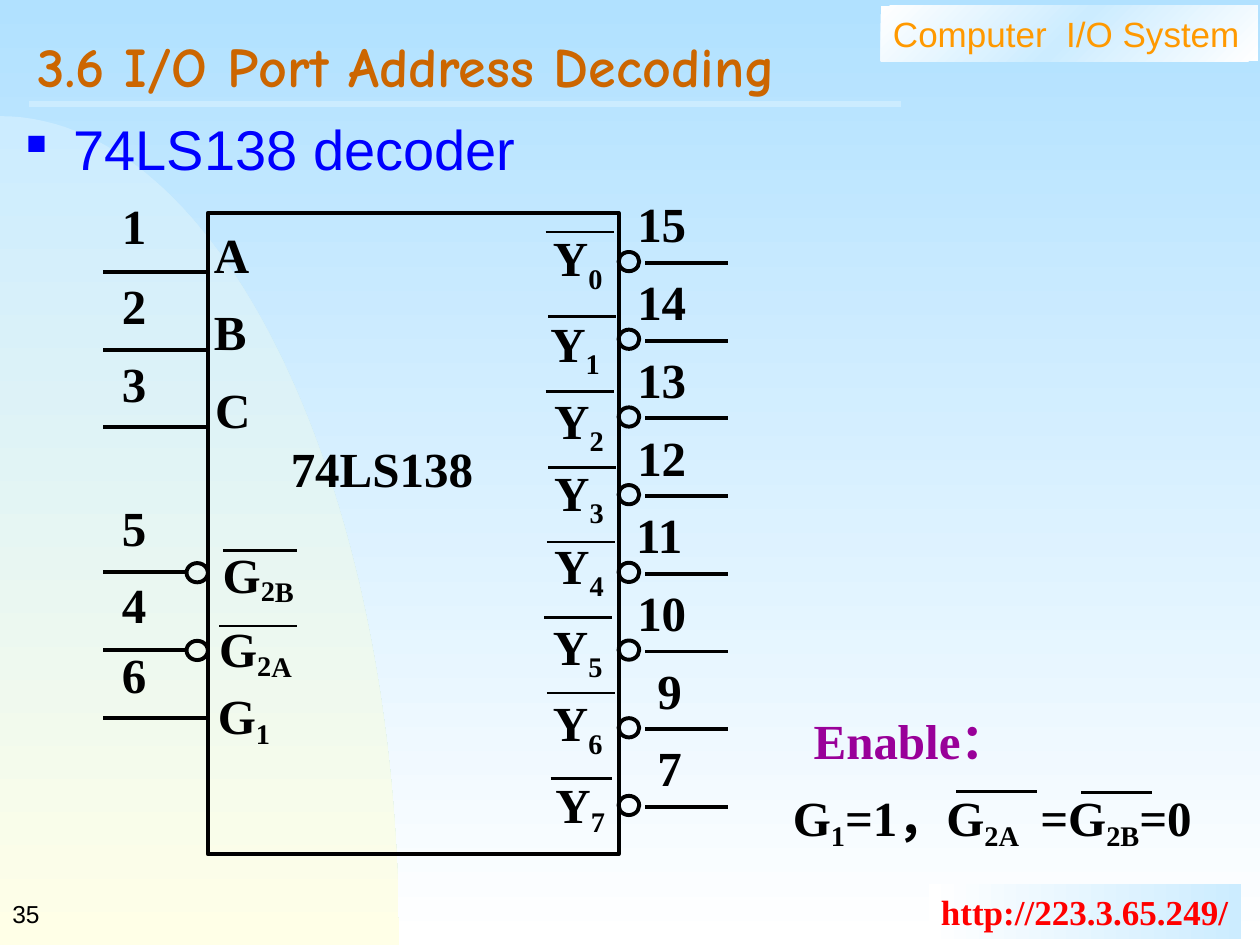
from copy import deepcopy

from lxml import etree
from pptx import Presentation
from pptx.dml.color import RGBColor
from pptx.enum.shapes import MSO_CONNECTOR, MSO_SHAPE
from pptx.enum.text import MSO_ANCHOR, PP_ALIGN
from pptx.oxml.ns import qn
from pptx.util import Pt

RECT, OVAL = MSO_SHAPE.RECTANGLE, MSO_SHAPE.OVAL
STRAIGHT = MSO_CONNECTOR.STRAIGHT
LEFT, MIDDLE = PP_ALIGN.LEFT, MSO_ANCHOR.MIDDLE
SERIF, SANS, COMIC = "Times New Roman", "Arial", "Comic Neue"
COLOURS = {name: RGBColor.from_string(value) for name, value in {
    "black": "000000", "white": "FFFFFF", "sky": "B1E1FF", "ice": "CCECFF",
    "cream": "FFFFE7", "orange": "FF9900", "rust": "CC6600", "blue": "0000FF",
    "purple": "990099", "red": "FF0000"}.items()}

deck = Presentation()
deck.slide_width, deck.slide_height = Pt(720), Pt(540)
page = deck.slides.add_slide(deck.slide_layouts[5])
shapes = page.shapes


def write(box, runs, size=28, font=SERIF, colour="black", bold=True):
    """Fill a shape with one left-aligned paragraph of (text, baseline %, size) runs."""
    box.text_frame.word_wrap = True
    para = box.text_frame.paragraphs[0]
    para.alignment = LEFT
    for text, baseline, *own_size in runs:
        span = para.add_run()
        span.text = text
        span.font.size = Pt(own_size[0] if own_size else size)
        span.font.name = font
        span.font.bold = bold
        span.font.color.rgb = COLOURS[colour]
        if baseline:
            span._r.get_or_add_rPr().set("baseline", str(baseline * 1000))
    return para


def add_line(x1, y1, x2, y2, width=2.25, colour="black"):
    line = shapes.add_connector(STRAIGHT, Pt(x1), Pt(y1), Pt(x2), Pt(y2))
    line.line.width = Pt(width)
    line.line.color.rgb = COLOURS[colour]
    etree.SubElement(line._element.spPr, qn("a:effectLst"))


# Background curve, sampled from a cubic Bezier
STEPS = 60
curve = []
for step in range(1, STEPS + 1):
    t = step / STEPS
    u = 1 - t
    curve.append((3 * u * u * t * 126 + 3 * u * t * t * 228 + t**3 * 228,
                  (u**3 + 3 * u * u * t) * 66.4 + 3 * u * t * t * 278.6 + t**3 * 540))
builder = shapes.build_freeform(0, Pt(66.4), scale=1.0)
builder.add_line_segments([(Pt(x), Pt(y)) for x, y in curve] + [(0, Pt(540))], close=True)
dome = builder.convert_to_shape()

# Header and web address panels
header = shapes.add_shape(RECT, Pt(503.2), Pt(3.4), Pt(215.6), Pt(31.5))
write(header, [("Computer  I/O System", 0)], 20, SANS, "orange", False)
address = shapes.add_shape(RECT, Pt(530.6), Pt(505), Pt(178.6), Pt(31.5))
write(address, [("http://223.3.65.249/", 0)], 20, SERIF, "red")
address.text_frame.word_wrap = False

# Gradients; angles run anticlockwise
for fill, stops, angle in [
        (page.background.fill, ["sky", "white"], 270),
        (dome.fill, ["ice", "cream"], 270),
        (header.fill, ["white", "ice", "white"], 315),
        (address.fill, ["white", "ice"], 0)]:
    fill.gradient()
    fill.gradient_angle = angle
    first = fill.gradient_stops[0]._gs
    for _ in stops[2:]:
        first.addnext(deepcopy(first))
    for index, (stop, colour) in enumerate(zip(fill.gradient_stops, stops)):
        stop.color.rgb = COLOURS[colour]
        stop.position = index / (len(stops) - 1)
for panel in (dome, header, address):
    panel.line.fill.background()
    panel.shadow.inherit = False

# Title and its rule
add_line(16.6, 59.4, 514.8, 59.4, 3, "ice")
title = shapes.title
title.left, title.top, title.width, title.height = Pt(14.4), Pt(14.4), Pt(687.6), Pt(55.4)
title.text_frame.vertical_anchor = MIDDLE
para = write(title, [("3.6 I/O Port Address Decoding", 0)], 32, COMIC, "rust")
para.line_spacing = 0.7

# Slide number
number = shapes.add_textbox(0, Pt(504), Pt(150), Pt(36))
number.text_frame.vertical_anchor = MIDDLE
write(number, [("35", 0)], 14, SANS, "black", False)

# Bullet
body = shapes.add_textbox(Pt(7.9), Pt(61.9), Pt(691), Pt(60))
para = write(body, [("74LS138 decoder", 0)], 32, SANS, "blue", False)
properties = para._p.get_or_add_pPr()
properties.set("marL", str(Pt(27)))
properties.set("indent", str(-Pt(27)))
bullet_colour = etree.SubElement(properties, qn("a:buClr"))
etree.SubElement(bullet_colour, qn("a:srgbClr"), val=str(COLOURS["blue"]))
etree.SubElement(properties, qn("a:buSzPct"), val="50000")
etree.SubElement(properties, qn("a:buChar"), char="■")

# Chip outline and the inverting circles on its pins
PITCH, CHIP_LEFT, CHIP_RIGHT = 44.4, 118.8, 353.5
outlines = [(RECT, CHIP_LEFT, 121.7, CHIP_RIGHT - CHIP_LEFT, 366.5)]
outlines += [(OVAL, CHIP_RIGHT, 144 + PITCH * i, 11.8, 11) for i in range(8)]
outlines += [(OVAL, 106.6, 321.8 + PITCH * i, 12.2, 11) for i in range(2)]
for kind, x, y, width, height in outlines:
    outline = shapes.add_shape(kind, Pt(x), Pt(y), Pt(width), Pt(height))
    outline.fill.background()
    outline.line.color.rgb = COLOURS["black"]
    outline.line.width = Pt(2.25)
    outline.shadow.inherit = False

# Labels: left, top, width, runs
labels = [
    (159.1, 247, 130, [("74LS138", 0)]),
    (115.2, 124.6, 50, [("A", 0)]),
    (115.2, 168.5, 50, [("B", 0)]),
    (115.9, 213.1, 50, [("C", 0)]),
    (120.2, 307.4, 70, [("G", 0), ("2", -18), ("B", -20)]),
    (118.1, 349.9, 70, [("G", 0), ("2", -18), ("A", -20)]),
    (117.4, 388.1, 60, [("G", 0), ("1", -20)]),
    (446, 438.5, 261, [("G", 0), ("1", -20), ("=1，G", 0), ("2A ", -20),
                       (" ", 0, 36), ("=G", 0), ("2B", -20), ("=0", 0)]),
]

# Input pins: number, number top, wire height, wire end
for pin, top, wire, end in [
        ("1", 108, 155.4, CHIP_LEFT), ("2", 154.1, 199.8, CHIP_LEFT),
        ("3", 198.7, 244.2, CHIP_LEFT), ("5", 280.8, 327, 106.6),
        ("4", 324.7, 371.4, 106.6), ("6", 365, 410.5, CHIP_LEFT)]:
    labels.append((62.6, top, 46, [(pin, 0)]))
    add_line(59, wire, end, wire)

# Output pins: number, number left, name left, name top
for i, (pin, x, name_x, name_y) in enumerate([
        ("15", 357.1, 308.9, 126.7), ("14", 357.1, 307.4, 175.7),
        ("13", 357.1, 309.6, 219.6), ("12", 357.1, 309.6, 260.6),
        ("11", 356.4, 309.6, 302.4), ("10", 357.1, 308.9, 348.5),
        ("9", 368.6, 308.9, 392.4), ("7", 368.6, 310.3, 439.2)]):
    wire = 150.3 + PITCH * i
    labels.append((x, 107.3 + PITCH * i, 55, [(pin, 0)]))
    labels.append((name_x, name_y, 57, [("Y", 0), (str(i), -18 if i == 7 else -25)]))
    add_line(368.6, wire, 416.2, wire)

for x, y, width, runs in labels:
    write(shapes.add_textbox(Pt(x), Pt(y), Pt(width), Pt(41)), runs)

# Enable heading
enable = shapes.add_textbox(Pt(457.9), Pt(402.5), Pt(174), Pt(41))
write(enable, [("Enable：", 0)], colour="purple")

# Bars over the active-low names: left, height, length
for x, y, length in [
        (311.8, 132.5, 39), (313.2, 180.7, 39), (311.8, 223.9, 39), (313.2, 267, 39),
        (312.5, 309.8, 39), (311, 352.8, 39), (312.5, 396, 39), (314.6, 445, 35.3),
        (127.4, 314.6, 42.5), (125.3, 357.8, 44.6),
        (546.5, 452.2, 46), (617.8, 452.9, 40.3)]:
    add_line(x, y, x + length, y, 1.5)

deck.save("out.pptx")
